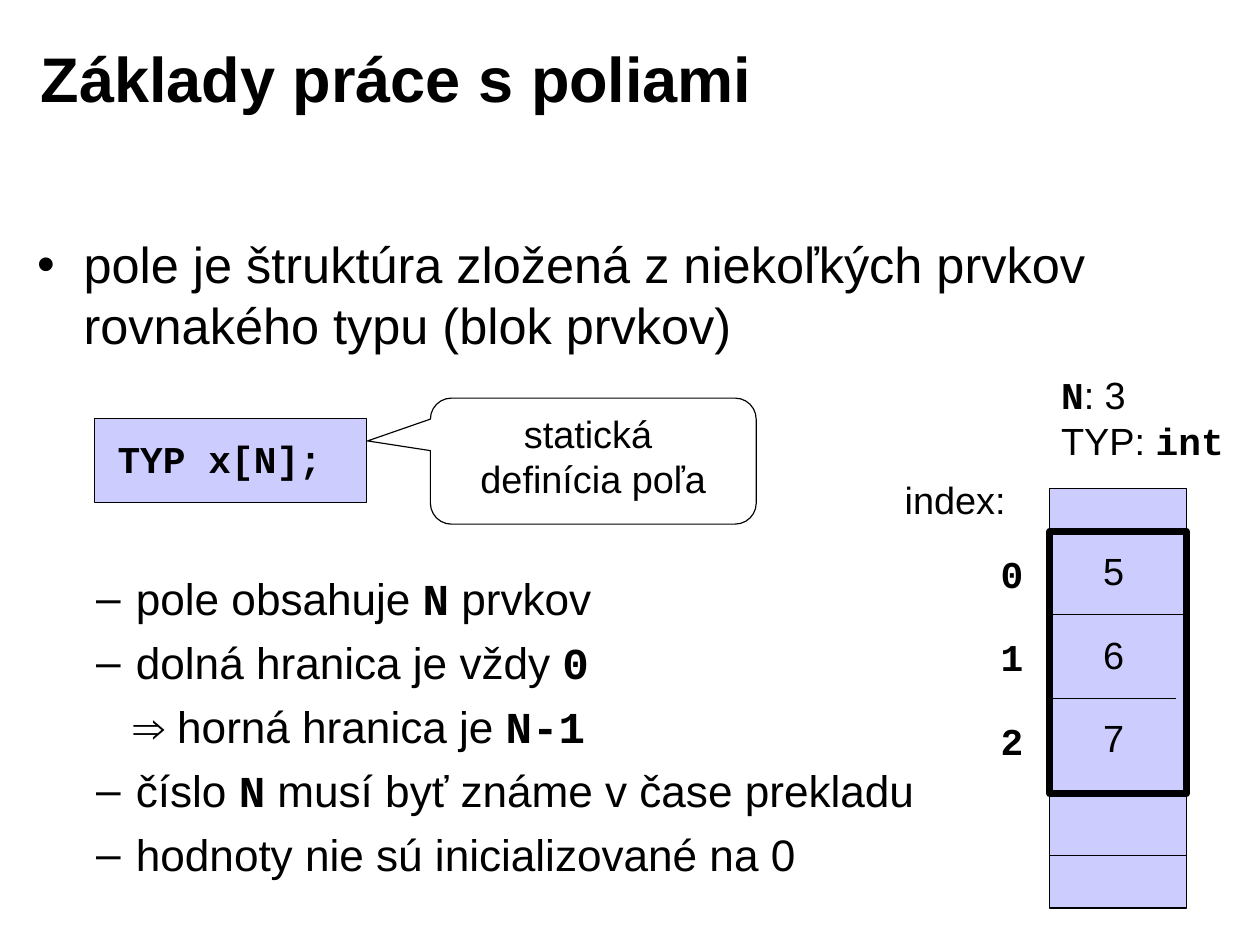
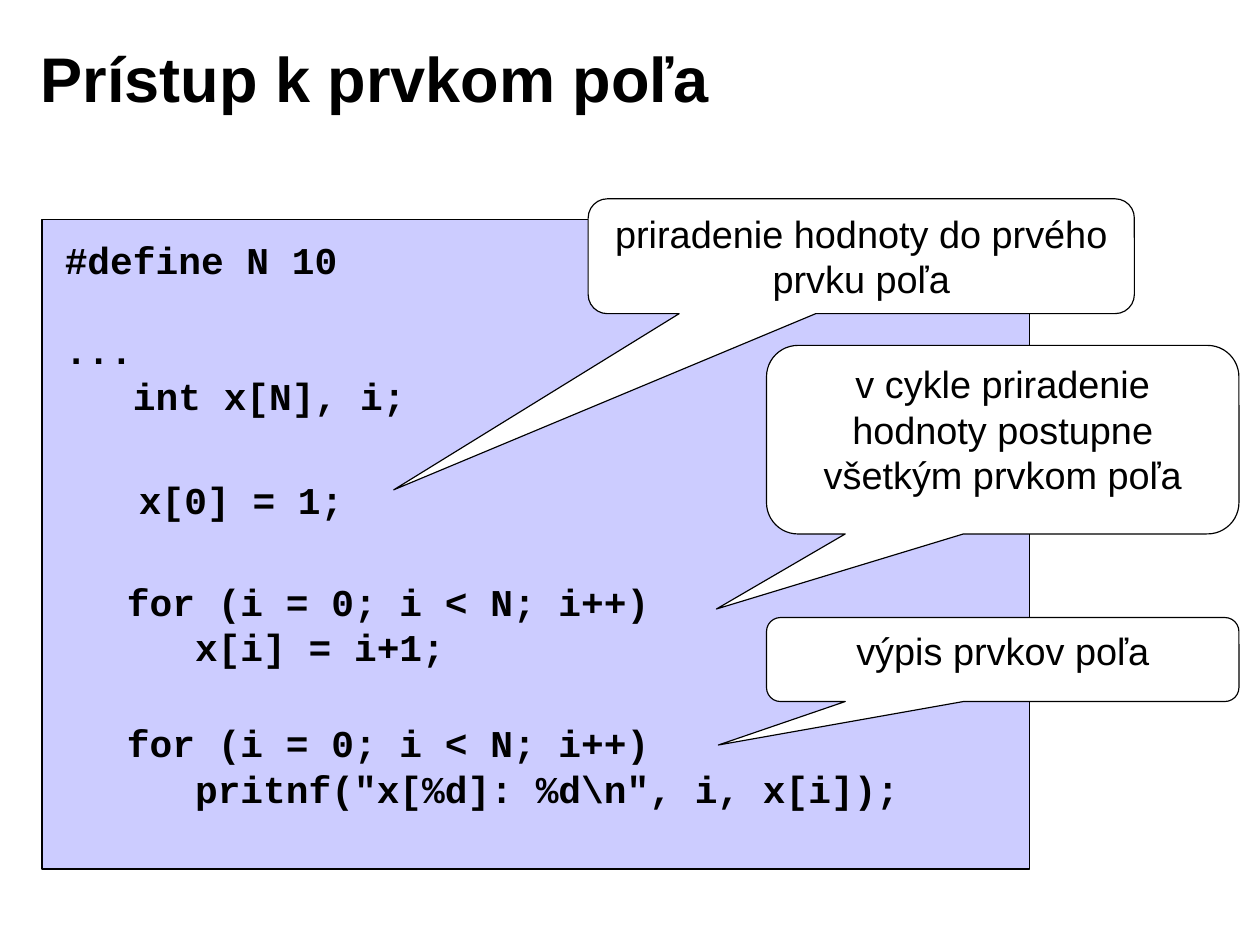
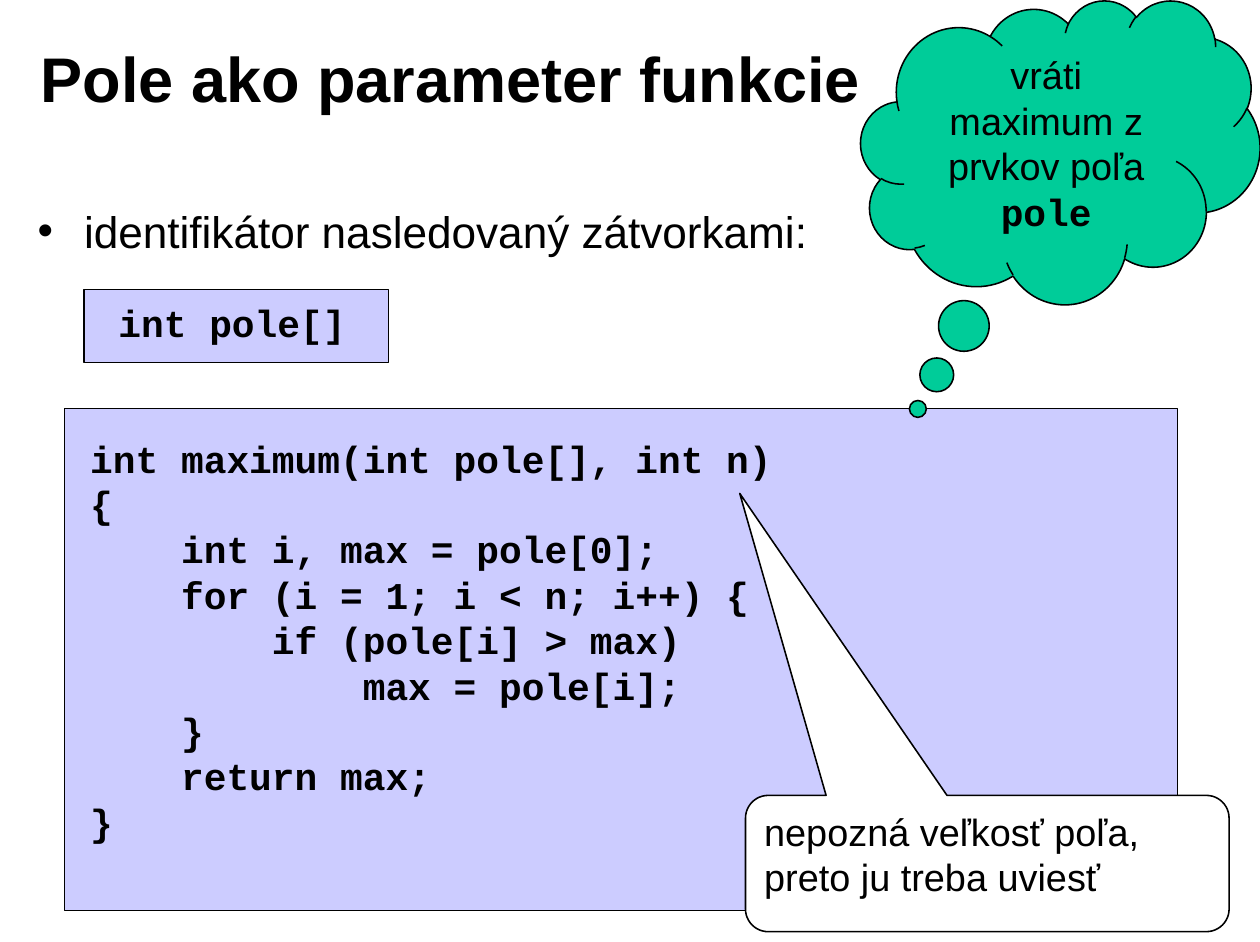
from dataclasses import dataclass

from lxml.etree import SubElement
from pptx import Presentation
from pptx.dml.color import RGBColor
from pptx.enum.shapes import MSO_CONNECTOR, MSO_SHAPE
from pptx.enum.text import MSO_ANCHOR, MSO_AUTO_SIZE, PP_ALIGN
from pptx.oxml.ns import qn
from pptx.util import Cm, Pt


@dataclass(frozen=True)
class Theme:
    ink: RGBColor = RGBColor(0, 0, 0)
    paper: RGBColor = RGBColor(255, 255, 255)
    panel: RGBColor = RGBColor(0xCC, 0xCC, 0xFF)
    cloud: RGBColor = RGBColor(0x00, 0xCC, 0x99)
    sans: str = "Arial"
    mono: str = "Courier New"
    title: int = 40
    lead: int = 32
    item: int = 28
    text: int = 24
    hairline: float = 0.75
    outline: float = 1
    frame: float = 4.5


THEME = Theme()
TITLE_ONLY, ONE_BODY, TWO_BODIES = 5, 1, 3


def write(para, text, size=THEME.text, mono=False, bold=False, align=PP_ALIGN.LEFT,
          before=0, left=0, hanging=0, bullet=None):
    properties = para._p.get_or_add_pPr()
    properties.set("marL", str(Cm(left)))
    properties.set("indent", str(-Cm(hanging)))
    if bullet:
        SubElement(properties, qn("a:buFont"), typeface=THEME.sans)
        SubElement(properties, qn("a:buChar"), char=bullet)
    else:
        SubElement(properties, qn("a:buNone"))
    para.alignment = align
    para.space_before = Pt(before)
    for number, part in enumerate(text.split("`")):
        if part:
            code = mono or number % 2 == 1
            span = para.add_run()
            span.text = part
            span.font.name = THEME.mono if code else THEME.sans
            span.font.size = Pt(size)
            span.font.bold = bold or code
            span.font.color.rgb = THEME.ink


class Lecture:
    def __init__(self):
        self.deck = Presentation()
        self.deck.slide_width, self.deck.slide_height = Cm(28.19), Cm(21.08)
        self.page = None

    def start(self, title, layout):
        self.page = self.deck.slides.add_slide(self.deck.slide_layouts[layout])
        box = self.page.shapes.title
        self.place(box, 0.64, 0.43, 22.63, 2.59)
        self.fill_text(box, [title], anchor=MSO_ANCHOR.MIDDLE, size=THEME.title, bold=True)

    def place(self, box, left, top, width, height):
        box.left, box.top, box.width, box.height = map(Cm, (left, top, width, height))

    def fill_text(self, box, lines, anchor=MSO_ANCHOR.TOP, **style):
        frame = box.text_frame
        frame.word_wrap = True
        frame.auto_size = MSO_AUTO_SIZE.NONE
        frame.vertical_anchor = anchor
        frame.margin_left = frame.margin_right = Cm(0.27)
        frame.margin_top = frame.margin_bottom = Cm(0.14)
        for number, line in enumerate(lines):
            para = frame.paragraphs[0] if number == 0 else frame.add_paragraph()
            text, extra = line if isinstance(line, tuple) else (line, {})
            write(para, text, **{**style, **extra})

    def lead(self, area, text, size):
        box = self.page.placeholders[1]
        self.place(box, *area)
        self.fill_text(box, [text], size=size, left=1.04, hanging=1.04, bullet="•")

    def items(self, area, lines):
        box = self.page.placeholders[2]
        self.place(box, *area)
        self.fill_text(box, lines, size=THEME.item, left=2.29, hanging=0.89,
                       bullet="–", before=7)
        for para in box.text_frame.paragraphs:
            para.level = 1
        box.text_frame.paragraphs[0].space_before = Pt(0)

    def label(self, area, *lines, **style):
        box = self.page.shapes.add_textbox(*map(Cm, area))
        self.fill_text(box, lines, **style)

    def shape(self, kind, area, fill=THEME.panel, weight=THEME.hairline):
        box = self.page.shapes.add_shape(kind, *map(Cm, area))
        box.shadow.inherit = False
        if fill is None:
            box.fill.background()
        else:
            box.fill.solid()
            box.fill.fore_color.rgb = fill
        box.line.color.rgb = THEME.ink
        box.line.width = Pt(weight)
        return box

    def panel(self, area):
        return self.shape(MSO_SHAPE.RECTANGLE, area)

    def callout(self, area, tip, *lines, kind=MSO_SHAPE.ROUNDED_RECTANGULAR_CALLOUT,
                fill=THEME.paper, weight=THEME.hairline, align=PP_ALIGN.CENTER):
        box = self.shape(kind, area, fill, weight)
        box.adjustments[0], box.adjustments[1] = tip
        self.fill_text(box, lines, align=align)

    def rule(self, left, right, top):
        line = self.page.shapes.add_connector(
            MSO_CONNECTOR.STRAIGHT, Cm(left), Cm(top), Cm(right), Cm(top))
        line.line.color.rgb = THEME.ink
        line.line.width = Pt(THEME.hairline)
        SubElement(line._element.spPr, qn("a:effectLst"))
        return line


def array_basics(lecture):
    lecture.start("Základy práce s poliami", TWO_BODIES)
    lecture.lead((0.56, 5.08, 27.08, 3.35),
                 "pole je štruktúra zložená z niekoľkých prvkov rovnakého typu (blok prvkov)",
                 THEME.lead)
    lecture.panel((2.11, 9.37, 6.1, 1.88))
    lecture.label((2.36, 9.6, 5.87, 1.3), "TYP x[N];", mono=True)
    lecture.items((0.48, 12.65, 20.68, 7.47), [
        "pole obsahuje `N` prvkov",
        "dolná hranica je vždy `0`",
        ("⇒ horná hranica je `N-1`", {"left": 2.23, "hanging": 0, "bullet": None}),
        "číslo `N` musí byť známe v čase prekladu",
        "hodnoty nie sú inicializované na 0",
    ])
    lecture.callout((9.63, 8.91, 7.29, 2.82), (-0.693, -0.16), "statická ", "definícia poľa")

    left, width, frame_top, pitch = 23.49, 3.05, 11.89, 1.87
    right = left + width
    column = lecture.panel((left, 10.94, width, 9.38))
    lecture.rule(left, right, 19.15)
    lecture.rule(left, right, frame_top + pitch)
    middle = lecture.rule(left, right - 0.24, frame_top + 2 * pitch)
    middle.begin_connect(column, 1)
    for index, value in enumerate("567"):
        top = frame_top + index * pitch
        lecture.label((24.41, top + 0.23, 2.11, 1.27), value)
        lecture.label((22.12, top + 0.29, 1.3, 1.27), str(index), mono=True)
    lecture.shape(MSO_SHAPE.RECTANGLE, (left, frame_top, width, 5.87),
                  fill=None, weight=THEME.frame)
    lecture.label((left - 0.02, 8.18, 4.7, 2.29), "`N`: 3", "TYP: `int`")
    lecture.label((19.97, 10.52, 3, 1.27), "index:")


def element_access(lecture):
    lecture.start("Prístup k prvkom poľa", TITLE_ONLY)
    lecture.panel((0.94, 4.92, 22.09, 14.53))
    loop = "for (i = 0; i < N; i++)"
    for area, lines in (
        ((1.18, 5.16, 15.98, 4.34),
         ("#define N 10", ("...", {"before": 28.5}), "   int x[N], i;")),
        ((2.84, 10.52, 6.58, 2.29), ("x[0] = 1;",)),
        ((2.57, 12.81, 15.98, 2.29), (loop, "   x[i] = i+1;")),
        ((2.57, 15.97, 20.45, 2.29), (loop, '   pritnf("x[%d]: %d\\n", i, x[i]);')),
    ):
        lecture.label(area, *lines, mono=True)
    for area, tip, text in (
        ((13.16, 4.45, 12.22, 2.57), (-0.856, 2.034),
         "priradenie hodnoty do prvého prvku poľa"),
        ((17.15, 7.73, 10.57, 4.22), (-0.606, 0.898),
         "v cykle priradenie hodnoty postupne všetkým prvkom poľa"),
        ((17.15, 13.82, 10.57, 1.88), (-0.602, 1.018), "výpis prvkov poľa"),
    ):
        lecture.callout(area, tip, text)


def array_parameter(lecture):
    lecture.start("Pole ako parameter funkcie", ONE_BODY)
    lecture.lead((0.57, 4.43, 18.26, 2.13), "identifikátor nasledovaný zátvorkami:", THEME.item)
    lecture.panel((1.88, 6.48, 6.81, 1.64))
    lecture.label((2.38, 6.57, 6.2, 1.3), "int pole[]", mono=True)
    lecture.panel((1.45, 9.14, 24.9, 11.24))
    lecture.label(
        (1.75, 9.6, 17, 9.42),
        "int maximum(int pole[], int n)",
        "{",
        "    int i, max = pole[0];",
        "    for (i = 1; i < n; i++) {",
        "        if (pole[i] > max)",
        "            max = pole[i];",
        "    }",
        "    return max;",
        "}",
        mono=True)
    lecture.callout((16.68, 17.8, 10.82, 3.05), (-0.512, -2.716),
                    "nepozná veľkosť poľa, preto ju treba uviesť",
                    weight=THEME.outline, align=PP_ALIGN.LEFT)
    lecture.callout((19.26, 0, 8.93, 6.8), (-0.357, 0.846),
                    "vráti maximum z prvkov poľa `pole`",
                    kind=MSO_SHAPE.CLOUD_CALLOUT, fill=THEME.cloud, weight=THEME.outline)


def main():
    lecture = Lecture()
    array_basics(lecture)
    element_access(lecture)
    array_parameter(lecture)
    lecture.deck.save("out.pptx")


if __name__ == "__main__":
    main()
